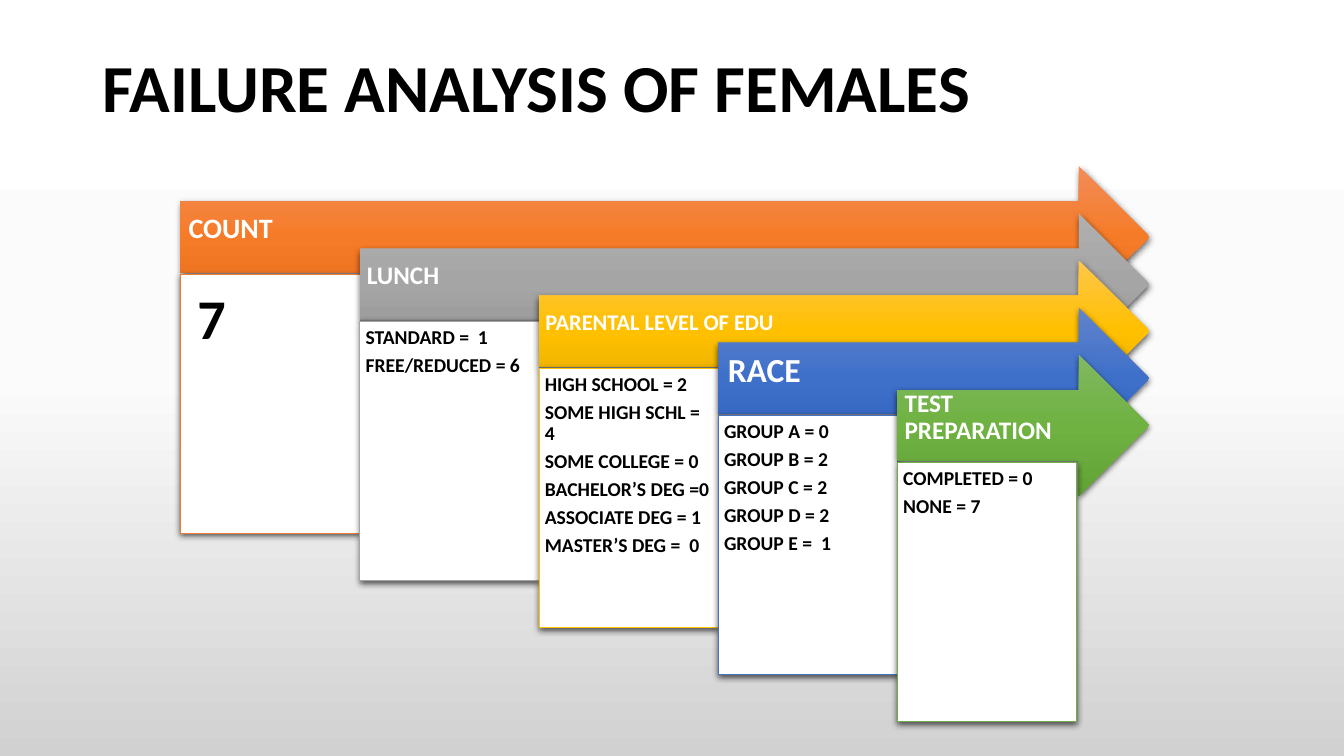
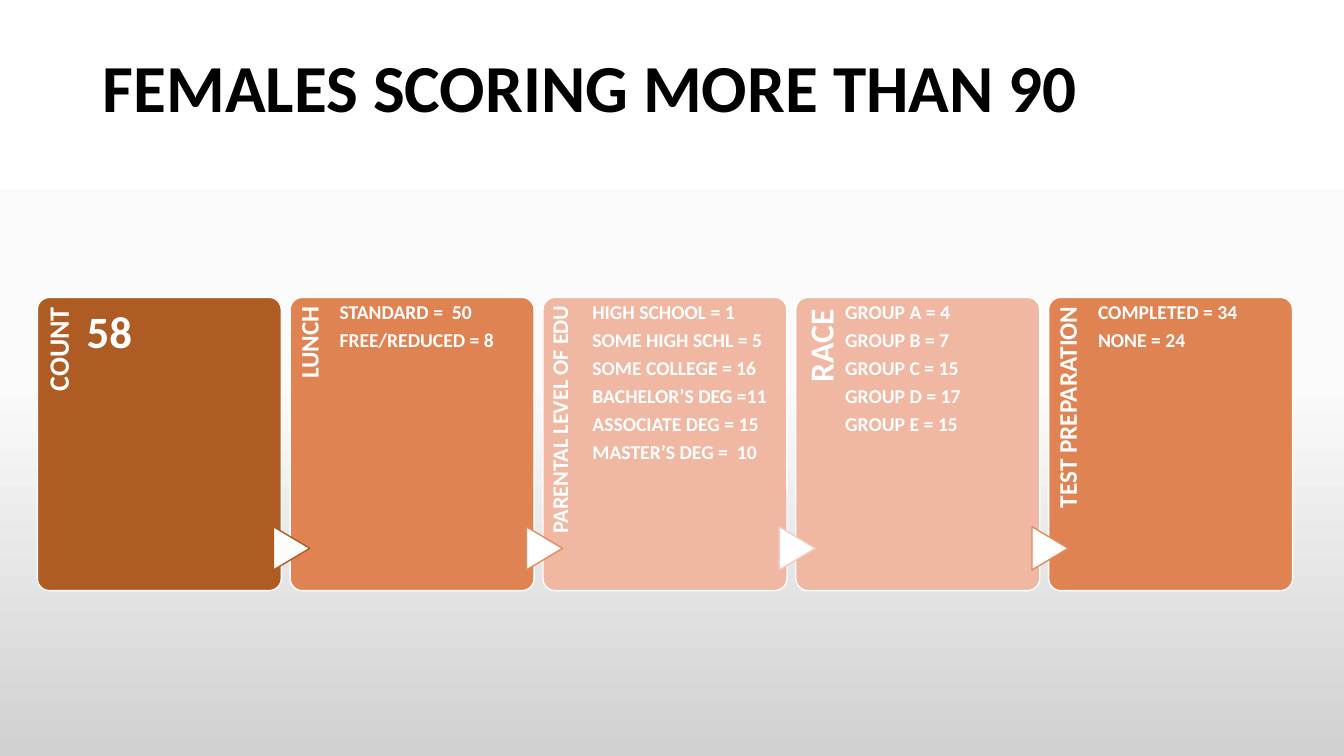
from copy import deepcopy

from pptx import Presentation
from pptx import util as u
from pptx.dml.color import RGBColor
from pptx.enum import shapes, text
from pptx.oxml import parse_xml
from pptx.oxml.ns import nsdecls, qn

FONT = "Calibri"
BLACK = RGBColor(0x00, 0x00, 0x00)
WHITE = RGBColor(0xFF, 0xFF, 0xFF)
PALE_GREY = RGBColor(0xFB, 0xFB, 0xFB)
SILVER = RGBColor(0xD1, 0xD1, 0xD1)
ORANGE = RGBColor(0xED, 0x7D, 0x31)
GREY = RGBColor(0xA5, 0xA5, 0xA5)
GOLD = RGBColor(0xFF, 0xC0, 0x00)
BLUE = RGBColor(0x44, 0x72, 0xC4)
GREEN = RGBColor(0x70, 0xAD, 0x47)
BROWN = RGBColor(0xAF, 0x5C, 0x24)
COPPER = RGBColor(0xDF, 0x83, 0x53)
PEACH = RGBColor(0xF0, 0xB7, 0xA2)
COPPER_EDGE = RGBColor(0xE3, 0x8A, 0x5F)
PEACH_EDGE = RGBColor(0xF5, 0xC9, 0xBB)

ORANGE_BLEND = (RGBColor(0xF1, 0x8C, 0x57), RGBColor(0xF6, 0x7B, 0x28), RGBColor(0xE5, 0x6C, 0x19))
GREY_BLEND = (RGBColor(0xAF, 0xAF, 0xAF), GREY, RGBColor(0x93, 0x93, 0x93))
GOLD_BLEND = (RGBColor(0xFF, 0xC6, 0x4B), GOLD, RGBColor(0xE3, 0xAB, 0x00))
BLUE_BLEND = (RGBColor(0x61, 0x83, 0xCB), RGBColor(0x3E, 0x70, 0xCA), RGBColor(0x30, 0x62, 0xBB))
GREEN_BLEND = (RGBColor(0x81, 0xB8, 0x61), RGBColor(0x6F, 0xB2, 0x42), RGBColor(0x62, 0xA3, 0x36))

CATEGORIES = [
    ("COUNT", 20),
    ("LUNCH", 18),
    ("PARENTAL LEVEL OF EDU", 16),
    ("RACE", 24),
    ("TEST PREPARATION", 18),
]
FAILURES = [
    (ORANGE_BLEND, ORANGE, 40, ["7"]),
    (GREY_BLEND, GREY, 14, ["STANDARD =  1", "FREE/REDUCED = 6"]),
    (GOLD_BLEND, GOLD, 14, ["HIGH SCHOOL = 2", "SOME HIGH SCHL = 4", "SOME COLLEGE = 0",
                            "BACHELOR’S DEG =0", "ASSOCIATE DEG = 1", "MASTER’S DEG =  0"]),
    (BLUE_BLEND, BLUE, 14, ["GROUP A = 0", "GROUP B = 2", "GROUP C = 2", "GROUP D = 2",
                            "GROUP E =  1"]),
    (GREEN_BLEND, GREEN, 14, ["COMPLETED = 0", "NONE = 7"]),
]
HIGH_SCORES = [
    (BROWN, None, 32, ["58"]),
    (COPPER, BROWN, 14, ["STANDARD =  50", "FREE/REDUCED = 8"]),
    (PEACH, COPPER_EDGE, 14, ["HIGH SCHOOL = 1", "SOME HIGH SCHL = 5", "SOME COLLEGE = 16",
                              "BACHELOR’S DEG =11", "ASSOCIATE DEG = 15", "MASTER’S DEG =  10"]),
    (PEACH, PEACH_EDGE, 14, ["GROUP A = 4", "GROUP B = 7", "GROUP C = 15", "GROUP D = 17",
                             "GROUP E = 15"]),
    (COPPER, COPPER_EDGE, 14, ["COMPLETED = 34", "NONE = 24"]),
]


def write(frame, lines, size, color, align=text.PP_ALIGN.LEFT, anchor=text.MSO_ANCHOR.TOP,
          insets=(0, 0, 0, 0), after=0.35):
    """Fill a text frame with bold paragraphs; insets run left, top, right, bottom."""
    frame.word_wrap = True
    frame.auto_size = text.MSO_AUTO_SIZE.NONE
    frame.vertical_anchor = anchor
    frame.margin_left, frame.margin_top, frame.margin_right, frame.margin_bottom = map(
        u.Inches, insets)
    for index, line in enumerate(lines):
        paragraph = frame.add_paragraph() if index else frame.paragraphs[0]
        paragraph.alignment = align
        paragraph.line_spacing = 0.9
        paragraph.space_before = u.Pt(0)
        paragraph.space_after = u.Pt(size * after)
        run = paragraph.add_run()
        run.text = line
        run.font.name = FONT
        run.font.size = u.Pt(size)
        run.font.bold = True
        run.font.color.rgb = color


def blend(fill, element, colors):
    """Apply an evenly spaced gradient that runs from top to bottom."""
    fill.gradient()
    fill.gradient_angle = 270
    stop_list = element.find(".//" + qn("a:gsLst"))
    stop_list.append(deepcopy(stop_list[0]))
    for index, (stop, color) in enumerate(zip(fill.gradient_stops, colors)):
        stop.position = index / (len(colors) - 1)
        stop.color.rgb = color


def add_shadow(shape):
    """Give a shape a soft shadow below it."""
    effects = shape.element.spPr.find(qn("a:effectLst"))
    effects.append(parse_xml(
        f'<a:outerShdw {nsdecls("a")} blurRad="{u.Pt(4.5)}" dist="{u.Pt(1.5)}" dir="5400000" '
        'algn="ctr" rotWithShape="0"><a:srgbClr val="000000"><a:alpha val="63000"/>'
        '</a:srgbClr></a:outerShdw>'))


class Deck:
    """Hold the shared style and the current slide."""

    def __init__(self):
        """Start a widescreen presentation with a graded background."""
        self.presentation = Presentation()
        self.presentation.slide_width = u.Inches(13.33)
        self.presentation.slide_height = u.Inches(7.5)
        master = self.presentation.slide_master
        blend(master.background.fill, master.element, (WHITE, PALE_GREY, SILVER))
        self.slide = None

    def add_slide(self, title):
        """Add a slide with the shared title style."""
        self.slide = self.presentation.slides.add_slide(self.presentation.slide_layouts[5])
        shape = self.slide.shapes.title
        shape.left, shape.top, shape.width, shape.height = map(u.Inches, (0.92, 0.4, 11.5, 1.01))
        write(shape.text_frame, [title], 48, BLACK, anchor=text.MSO_ANCHOR.MIDDLE,
              insets=(0.1, 0.05, 0.1, 0.05), after=0)

    def add_shape(self, kind, *box, fill=None, line=None, weight=1):
        """Add a preset shape with a plain fill and outline."""
        shape = self.slide.shapes.add_shape(kind, *map(u.Inches, box))
        shape.shadow.inherit = False
        if fill is not None:
            shape.fill.solid()
            shape.fill.fore_color.rgb = fill
        if line is None:
            shape.line.fill.background()
        else:
            shape.line.color.rgb = line
            shape.line.width = u.Pt(weight)
        return shape

    def add_text(self, *box, lines, size, rotation=0, **style):
        """Add a white text box."""
        shape = self.slide.shapes.add_textbox(*map(u.Inches, box))
        shape.rotation = rotation
        write(shape.text_frame, lines, size, WHITE, **style)

    def add_arrow(self, left, top, width, label, size, colors):
        """Add a graded arrow that carries a category name."""
        arrow = self.add_shape(shapes.MSO_SHAPE.RIGHT_ARROW, left, top, width, 1.4)
        blend(arrow.fill, arrow.element, colors)
        add_shadow(arrow)
        inset = size * 0.004
        write(arrow.text_frame, [label], size, WHITE, anchor=text.MSO_ANCHOR.MIDDLE,
              insets=(inset, inset, 0.28, 0.22))

    def add_panel(self, left, top, lines, size, color):
        """Add a white panel of values with a coloured outline."""
        panel = self.add_shape(shapes.MSO_SHAPE.RECTANGLE, left, top, 1.78, 2.57,
                               fill=WHITE, line=color, weight=0.5)
        add_shadow(panel)
        write(panel.text_frame, lines, size, BLACK, insets=[size / 240] * 4)

    def add_card(self, left, top, label, label_size, color):
        """Add a rounded card with its name running up the left edge."""
        card = self.add_shape(shapes.MSO_SHAPE.ROUNDED_RECTANGLE, left, top, 2.42, 2.91,
                              fill=color, line=WHITE)
        card.adjustments[0] = 0.05
        self.add_text(left - 0.95, top + 0.95, 2.38, 0.48, lines=[label], size=label_size,
                      rotation=270, align=text.PP_ALIGN.RIGHT,
                      insets=(0, label_size / 275, label_size / 200, 0))

    def add_pointer(self, left, top, color):
        """Add a small triangle that points to the next card."""
        pointer = self.add_shape(shapes.MSO_SHAPE.FLOWCHART_EXTRACT, left, top, 0.43, 0.36,
                                 fill=WHITE, line=color)
        pointer.rotation = 90


def add_failure_slide(deck):
    """Build the staircase of arrows and panels."""
    deck.add_slide("FAILURE ANALYSIS OF FEMALES")
    right = 11.4
    for index, ((label, label_size), (colors, edge, size, lines)) in enumerate(
            zip(CATEGORIES, FAILURES)):
        left = 1.79 + index * 7.11 / 4
        top = 1.65 + index * 1.87 / 4
        deck.add_arrow(left, top, right - left, label, label_size, colors)
        deck.add_panel(left, top + 1.07, lines, size, edge)


def add_high_score_slide(deck):
    """Build the row of linked cards."""
    deck.add_slide("FEMALES SCORING MORE THAN 90")
    top = 2.95
    for index, ((label, label_size), (color, pointer_edge, size, lines)) in enumerate(
            zip(CATEGORIES, HIGH_SCORES)):
        left = 0.37 + index * 10.03 / 4
        deck.add_card(left, top, label, label_size, color)
        if pointer_edge is not None:
            deck.add_pointer(left - 0.2, top + 2.31, pointer_edge)
        deck.add_text(left + 0.49, top, 1.81, 2.91, lines=lines, size=size,
                      insets=(0, size / 270, 0, 0))


def main():
    """Build and save both slides."""
    deck = Deck()
    add_failure_slide(deck)
    add_high_score_slide(deck)
    deck.presentation.save("out.pptx")


if __name__ == "__main__":
    main()
